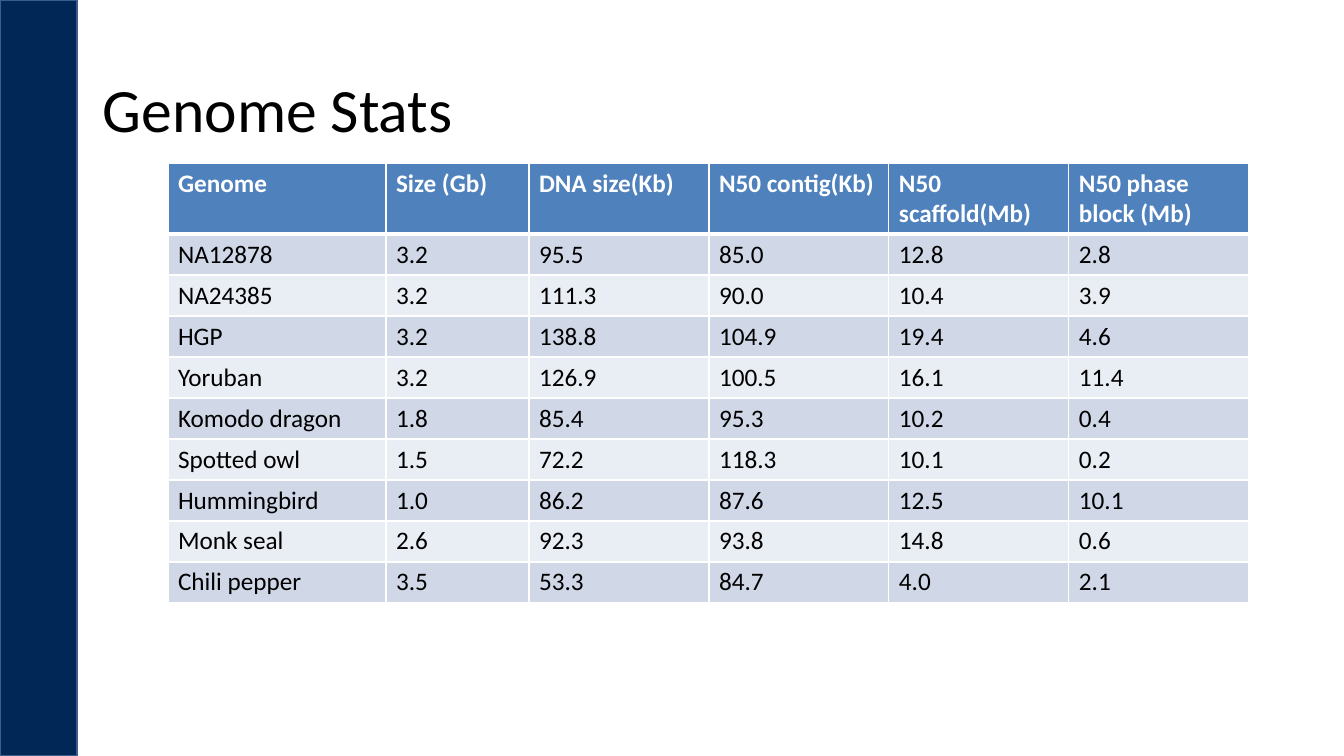
from lxml.etree import SubElement
from pptx import Presentation
from pptx.dml.color import RGBColor
from pptx.enum.shapes import MSO_SHAPE
from pptx.enum.text import MSO_ANCHOR
from pptx.oxml.ns import qn
from pptx.util import Emu, Pt

EMU_PER_PX = 914400 / 100.8
COLOURS = {
    "navy": "002755",
    "outline": "3A5F8C",
    "header": "4F81BD",
    "band_dark": "D0D8E8",
    "band_light": "E9EDF4",
    "white": "FFFFFF",
    "black": "000000",
}
HEADINGS = ["Genome", "Size (Gb)", "DNA size(Kb)", "N50 contig(Kb)",
            "N50 scaffold(Mb)", "N50 phase block (Mb)"]
GENOMES = [
    ["NA12878", "3.2", "95.5", "85.0", "12.8", "2.8"],
    ["NA24385", "3.2", "111.3", "90.0", "10.4", "3.9"],
    ["HGP", "3.2", "138.8", "104.9", "19.4", "4.6"],
    ["Yoruban", "3.2", "126.9", "100.5", "16.1", "11.4"],
    ["Komodo dragon", "1.8", "85.4", "95.3", "10.2", "0.4"],
    ["Spotted owl", "1.5", "72.2", "118.3", "10.1", "0.2"],
    ["Hummingbird", "1.0", "86.2", "87.6", "12.5", "10.1"],
    ["Monk seal", "2.6", "92.3", "93.8", "14.8", "0.6"],
    ["Chili pepper", "3.5", "53.3", "84.7", "4.0", "2.1"],
]


def px(length):
    return Emu(round(length * EMU_PER_PX))


def colour(name):
    return RGBColor.from_string(COLOURS[name])


class PageBuilder:
    font_name = "Calibri"

    def __init__(self, page):
        self.page = page

    def style_text(self, para, size, ink, bold=False):
        for span in para.runs:
            span.font.name = self.font_name
            span.font.size = Pt(size)
            span.font.bold = bold
            span.font.color.rgb = colour(ink)

    def bar(self, left, top, width, height, fill, line):
        shape = self.page.shapes.add_shape(
            MSO_SHAPE.RECTANGLE, px(left), px(top), px(width), px(height))
        shape.shadow.inherit = False
        shape.fill.solid()
        shape.fill.fore_color.rgb = colour(fill)
        shape.line.color.rgb = colour(line)
        shape.line.width = Pt(1)

    def title(self, text, left, top, width, height):
        box = self.page.shapes.add_textbox(px(left), px(top), px(width), px(height))
        frame = box.text_frame
        frame.word_wrap = True
        frame.vertical_anchor = MSO_ANCHOR.MIDDLE
        frame.text = text
        para = frame.paragraphs[0]
        para.line_spacing = 0.9
        self.style_text(para, 44, "black")

    def borders(self, cell, top, bottom):
        """Draw white cell borders, 1 pt at the sides, the given points elsewhere."""
        properties = cell._tc.get_or_add_tcPr()
        for side, points in (("L", 1), ("R", 1), ("T", top), ("B", bottom)):
            line = SubElement(properties, qn(f"a:ln{side}"), w=str(Pt(points)))
            fill = SubElement(line, qn("a:solidFill"))
            SubElement(fill, qn("a:srgbClr"), val=COLOURS["white"])

    def table(self, rows, left, top, column_widths, row_heights):
        frame = self.page.shapes.add_table(
            len(rows), len(column_widths), px(left), px(top),
            px(sum(column_widths)), px(sum(row_heights)))
        table = frame.table
        for column, width in zip(table.columns, column_widths):
            column.width = px(width)
        for index, (row, height, values) in enumerate(
                zip(table.rows, row_heights, rows)):
            row.height = px(height)
            is_header = index == 0
            band = "band_dark" if index % 2 else "band_light"
            for cell, value in zip(row.cells, values):
                self.borders(cell, 3 if index == 1 else 1, 3 if is_header else 1)
                cell.fill.solid()
                cell.fill.fore_color.rgb = colour("header" if is_header else band)
                cell.text_frame.text = value
                self.style_text(cell.text_frame.paragraphs[0], 18,
                                "white" if is_header else "black", is_header)


def main():
    deck = Presentation()
    deck.slide_width, deck.slide_height = px(1344), px(756)
    builder = PageBuilder(deck.slides.add_slide(deck.slide_layouts[6]))
    builder.bar(0, 0, 77, 756, "navy", "outline")
    builder.title("Genome Stats", 93, 40, 1159, 146)
    builder.table([HEADINGS] + GENOMES, 168, 163,
                  [218, 143] + [180] * 4, [71] + [41] * len(GENOMES))
    deck.save("out.pptx")


if __name__ == "__main__":
    main()
